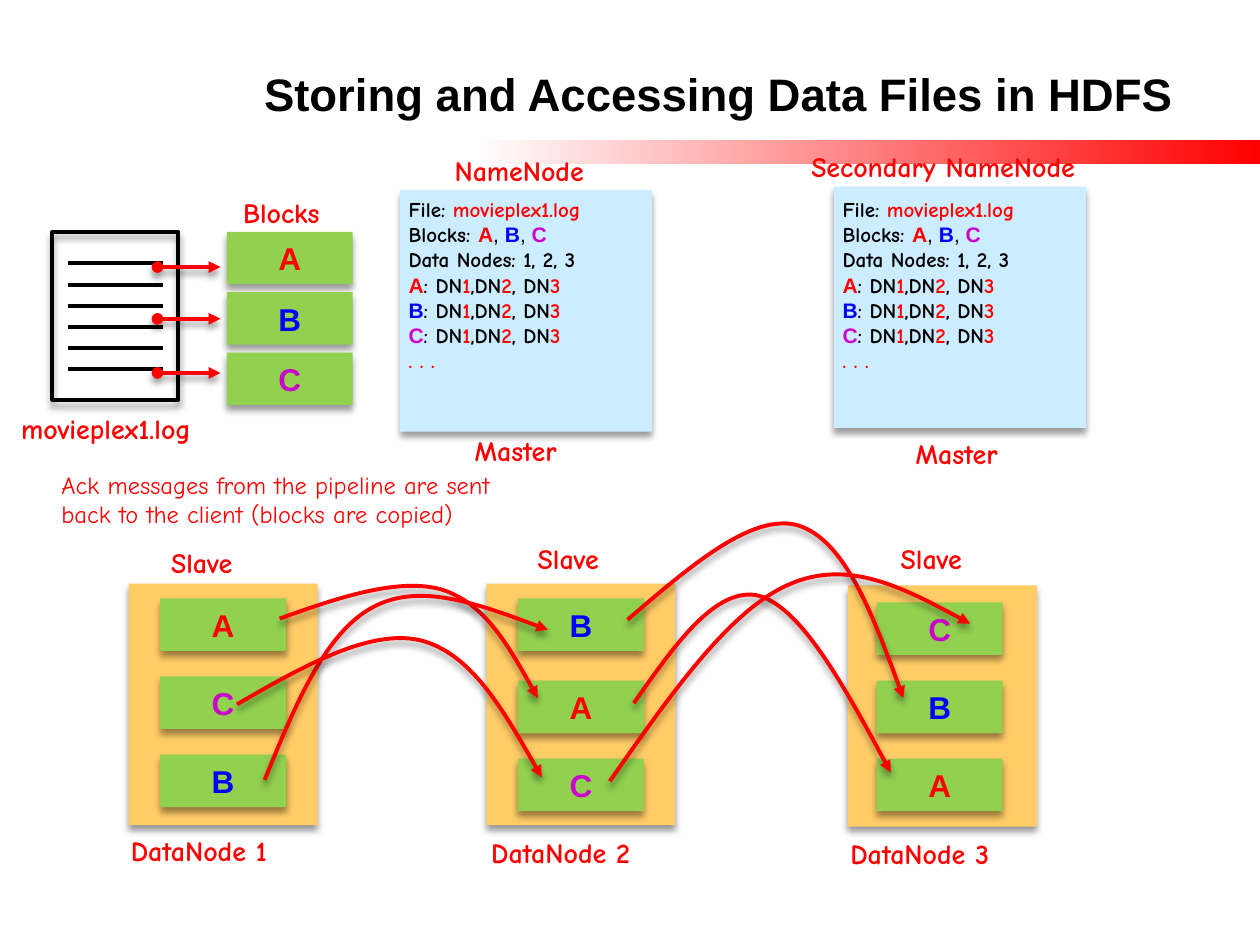
"""Build the slide on storing and accessing data files in HDFS."""
import pptx
import pptx.dml.color
import pptx.enum.dml
import pptx.enum.shapes
import pptx.enum.text
import pptx.oxml
import pptx.oxml.ns
import pptx.util
from lxml import etree

Pt = pptx.util.Pt
qn = pptx.oxml.ns.qn
ALIGN = pptx.enum.text.PP_ALIGN
RECTANGLE = pptx.enum.shapes.MSO_SHAPE.RECTANGLE

COLORS = {
    "white": "FFFFFF", "black": "000000", "red": "FF0000", "blue": "0000FF",
    "purple": "CC00CC", "green": "92D050", "orange": "FFCC66", "sky": "CCECFF",
}
BLOCK_COLORS = {"A": "red", "B": "blue", "C": "purple"}
TITLE = {"name": "Arial", "size": Pt(26), "bold": True}
LETTER = {"name": "Arial", "size": Pt(18), "bold": True}
LABEL = {"name": "Comic Neue", "size": Pt(16), "bold": True}
DETAIL = {"name": "Comic Neue", "size": Pt(12), "bold": True}
DETAIL_LETTER = DETAIL | {"name": "Arial"}
DETAIL_COMMA = DETAIL_LETTER | {"bold": False}
NOTE = {"name": "Comic Neue", "size": Pt(14), "bold": False}

LABELS = [
    ("NameNode", 252.7, 84.2, 98.6), ("Secondary NameNode", 456.5, 82, 186.5),
    ("Blocks", 131.8, 108, 62.6), ("Master", 264.2, 244, 69.8),
    ("Master", 516.2, 246.2, 69.8),
]
DATA_NODES = [
    {"box": (73.5, 333.5), "blocks": (91.5, 342, 386.6, 431.3), "order": "ACB",
     "slave": (90.7, 308.2), "label": (67.7, 473)},
    {"box": (278, 333.5), "blocks": (296, 342, 389, 433.5), "order": "BAC",
     "slave": (300.2, 306), "label": (273.6, 473.8)},
    {"box": (484.5, 334.5), "blocks": (501, 344.2, 389, 433.5), "order": "CBA",
     "slave": (507.6, 306), "label": (478.8, 474.5)},
]
PIPELINES = [
    [(159.8, 353.5), (193.7, 341.3), (228.2, 329.8), (252.7, 337),
     (277.2, 344.9), (292.3, 372.2), (307.4, 398.9)],
    [(362.2, 401.8), (385.9, 367.9), (409.7, 334.1), (434.2, 340.6),
     (457.9, 347.8), (483.8, 394.6), (509, 441.4)],
    [(151.2, 445.7), (168.5, 403.2), (185.8, 361.4), (213.1, 347),
     (239.8, 332.6), (276.5, 346.3), (313.2, 360)],
    [(358.6, 354.2), (394.6, 323.3), (429.8, 293), (455.8, 300.2),
     (482.4, 308.2), (499.7, 353.5), (516.2, 398.9)],
    [(135.4, 402.5), (172.8, 380.9), (211, 359.3), (239.8, 365.8),
     (269.3, 373), (289.4, 409), (309.6, 444.2)],
    [(348.5, 446.4), (382.3, 398.2), (416.2, 349.2), (450.7, 334.1),
     (484.6, 319), (519.8, 337.7), (554.4, 356.4)],
]


def rgb(color):
    """Return the named colour."""
    return pptx.dml.color.RGBColor.from_string(COLORS[color])


def set_effects(shape, shadow):
    """Give a finished shape a soft drop shadow or no effects."""
    effects = etree.SubElement(shape._element.spPr, qn("a:effectLst"))
    if shadow:
        outer = etree.SubElement(effects, qn("a:outerShdw"), blurRad=str(Pt(4)),
                                 dist=str(Pt(3)), dir="5400000", rotWithShape="0")
        color = etree.SubElement(outer, qn("a:srgbClr"), val=COLORS["black"])
        etree.SubElement(color, qn("a:alpha"), val="40000")


def style_line(shape, color, **ends):
    """Set the line colour, width and arrowheads."""
    shape.line.color.rgb = rgb(color)
    shape.line.width = Pt(2.25)
    for end, kind in ends.items():
        etree.SubElement(shape.line._get_or_add_ln(), qn(f"a:{end}"), type=kind)


def add_run(paragraph, text, color, style):
    """Add a run with the given colour and font values."""
    run = paragraph.add_run()
    run.text = text
    run.font.color.rgb = rgb(color)
    for name, value in style.items():
        setattr(run.font, name, value)


def add_rectangle(slide, left, top, width, height, fill=None, line=None):
    """Add a shadowed rectangle."""
    shape = slide.shapes.add_shape(RECTANGLE, Pt(left), Pt(top), Pt(width), Pt(height))
    if fill:
        shape.fill.solid()
        shape.fill.fore_color.rgb = rgb(fill)
    else:
        shape.fill.background()
    if line:
        style_line(shape, line)
    else:
        shape.line.fill.background()
    set_effects(shape, True)
    return shape


def add_block(slide, letter, left, top):
    """Add a green file block with its letter."""
    shape = add_rectangle(slide, left, top, 72, 30, "green")
    paragraph = shape.text_frame.paragraphs[0]
    paragraph.alignment = ALIGN.CENTER
    add_run(paragraph, letter, BLOCK_COLORS[letter], LETTER)


def add_text(slide, lines, left, top, width, height, wrap=True):
    """Add a text box from lines of (text, colour, style) runs."""
    box = slide.shapes.add_textbox(Pt(left), Pt(top), Pt(width), Pt(height))
    frame = box.text_frame
    frame.word_wrap = wrap
    frame.auto_size = pptx.enum.text.MSO_AUTO_SIZE.SHAPE_TO_FIT_TEXT
    for index, runs in enumerate(lines):
        paragraph = frame.add_paragraph() if index else frame.paragraphs[0]
        for run in runs:
            add_run(paragraph, *run)
    return frame


def add_label(slide, text, left, top, width, wrap=False):
    """Add a red one-line label."""
    add_text(slide, [[(text, "red", LABEL)]], left, top, width, 26.6, wrap)


def add_title(slide):
    """Add the title and the gradient bar below it."""
    bar = add_rectangle(slide, 271.5, 80, 448.5, 13.5)
    bar._element.spPr.remove(bar._element.spPr.find(qn("a:effectLst")))
    bar.shadow.inherit = False
    bar.fill.gradient()
    bar.fill.gradient_angle = 0
    for stop, color in zip(bar.fill.gradient_stops, ("white", "red")):
        stop.color.rgb = rgb(color)
    title = [("Storing and Accessing Data Files in HDFS", "black", TITLE)]
    frame = add_text(slide, [title], 48, 37, 623.5, 32)
    for side in ("left", "top", "right", "bottom"):
        setattr(frame, f"margin_{side}", Pt(0.7))
    frame.paragraphs[0].alignment = ALIGN.RIGHT


def add_name_node(slide, left, top):
    """Add a master panel listing the file's blocks and their nodes."""
    add_rectangle(slide, left, top, 144, 138, "sky")
    blocks = [("Blocks: ", "black", DETAIL)]
    places = []
    for letter, color in BLOCK_COLORS.items():
        if places:
            blocks.append((", ", "black", DETAIL_COMMA))
        blocks.append((letter, color, DETAIL_LETTER))
        line = [(letter, color, DETAIL_LETTER)]
        for prefix, number in ((": DN", "1"), (",DN", "2"), (", DN", "3")):
            line += [(prefix, "black", DETAIL), (number, "red", DETAIL)]
        places.append(line)
    file_line = [("File: ", "black", DETAIL), ("movieplex1.log", "red", DETAIL)]
    nodes = [("Data Nodes: 1, 2, 3", "black", DETAIL)]
    lines = [file_line, blocks, nodes, *places, [(". . .", "red", DETAIL)]]
    add_text(slide, lines, left - 2.2, 108.7, 167.8, 121)


def add_line(slide, left, right, top, color, shadow=False, **ends):
    """Add a horizontal line."""
    line = slide.shapes.add_connector(pptx.enum.shapes.MSO_CONNECTOR.STRAIGHT,
                                      Pt(left), Pt(top), Pt(right), Pt(top))
    style_line(line, color, **ends)
    set_effects(line, shadow)


def add_curve(slide, points):
    """Add a curved arrow from a start point and Bezier control points."""
    start, *controls = [(Pt(x), Pt(y)) for x, y in points]
    builder = slide.shapes.build_freeform(*start)
    builder.add_line_segments(controls, close=False)
    shape = builder.convert_to_shape()
    segments = list(shape._element.iter(qn("a:lnTo")))
    outline = segments[0].getparent()
    for first in range(0, len(segments), 3):
        curve = etree.SubElement(outline, qn("a:cubicBezTo"))
        for segment in segments[first:first + 3]:
            curve.append(segment[0])
            outline.remove(segment)
    shape.fill.background()
    style_line(shape, "red", tailEnd="triangle")
    set_effects(shape, True)


def add_file(slide):
    """Add the log file and its split into blocks."""
    add_rectangle(slide, 30, 132.5, 72, 96, line="black")
    for row in range(6):
        add_line(slide, 38.9, 92.9, 150.5 + 12.1 * row, "black")
    add_label(slide, "movieplex1.log", 5, 231.8, 127.4, True)
    for row, letter in enumerate(BLOCK_COLORS):
        add_block(slide, letter, 129.6, 132.5 + 34.5 * row)
    for top in (152.6, 182.2, 213.1):
        add_line(slide, 90, 126, top, "red", True, headEnd="oval", tailEnd="triangle")


def add_data_node(slide, number, node):
    """Add a slave node with its blocks and labels."""
    add_rectangle(slide, *node["box"], 108, 138, "orange")
    left, *tops = node["blocks"]
    for letter, top in zip(node["order"], tops):
        add_block(slide, letter, left, top)
    add_label(slide, "Slave", *node["slave"], 56.2)
    add_label(slide, f"DataNode {number}", *node["label"], 108.7)


def main():
    """Build and save the slide."""
    presentation = pptx.Presentation()
    presentation.slide_width, presentation.slide_height = Pt(720), Pt(540)
    slide = presentation.slides.add_slide(presentation.slide_layouts[6])
    add_title(slide)
    add_file(slide)
    for left, top in ((228.6, 108.7), (476.6, 106.6)):
        add_name_node(slide, left, top)
    for label in LABELS:
        add_label(slide, *label)
    for number, node in enumerate(DATA_NODES, 1):
        add_data_node(slide, number, node)
    for points in PIPELINES:
        add_curve(slide, points)
    note = "Ack messages from the pipeline are sent back to the client (blocks are copied)"
    add_text(slide, [[(note, "red", NOTE)]], 28, 265, 283.7, 41)
    presentation.save("out.pptx")


if __name__ == "__main__":
    main()
